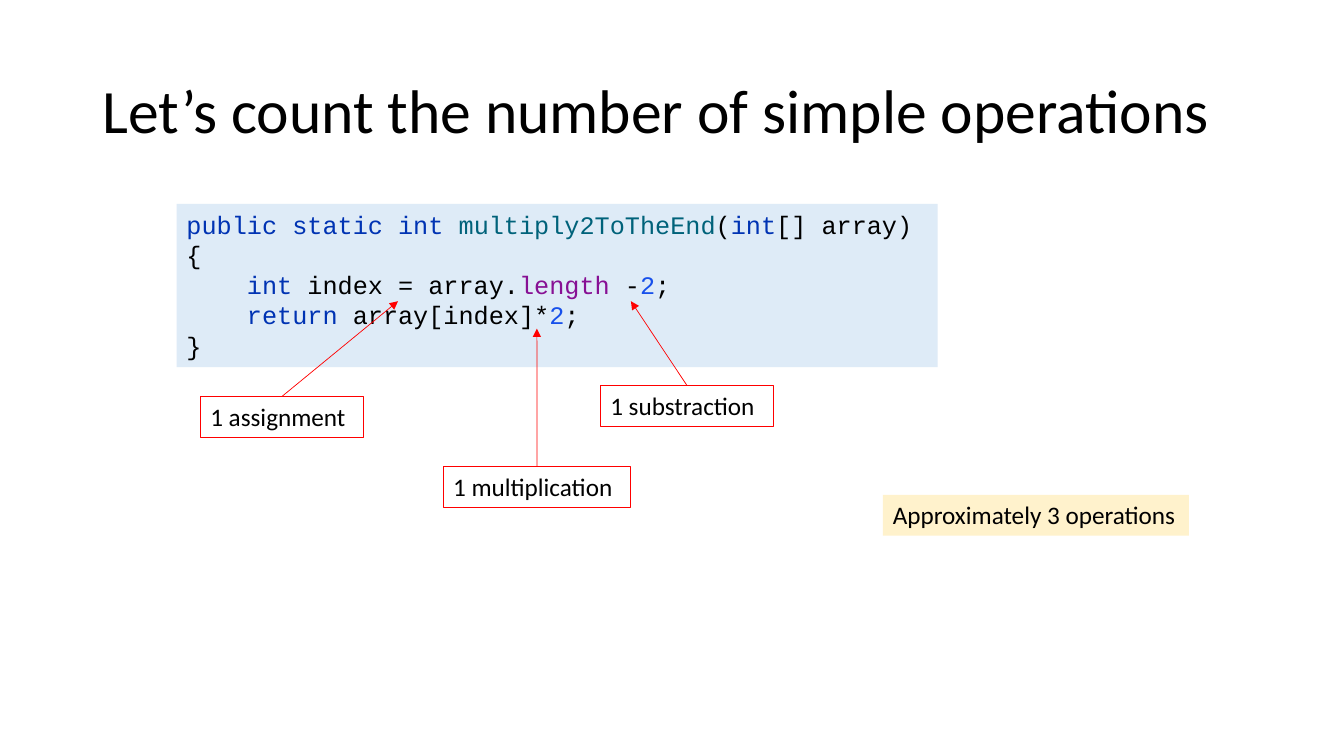
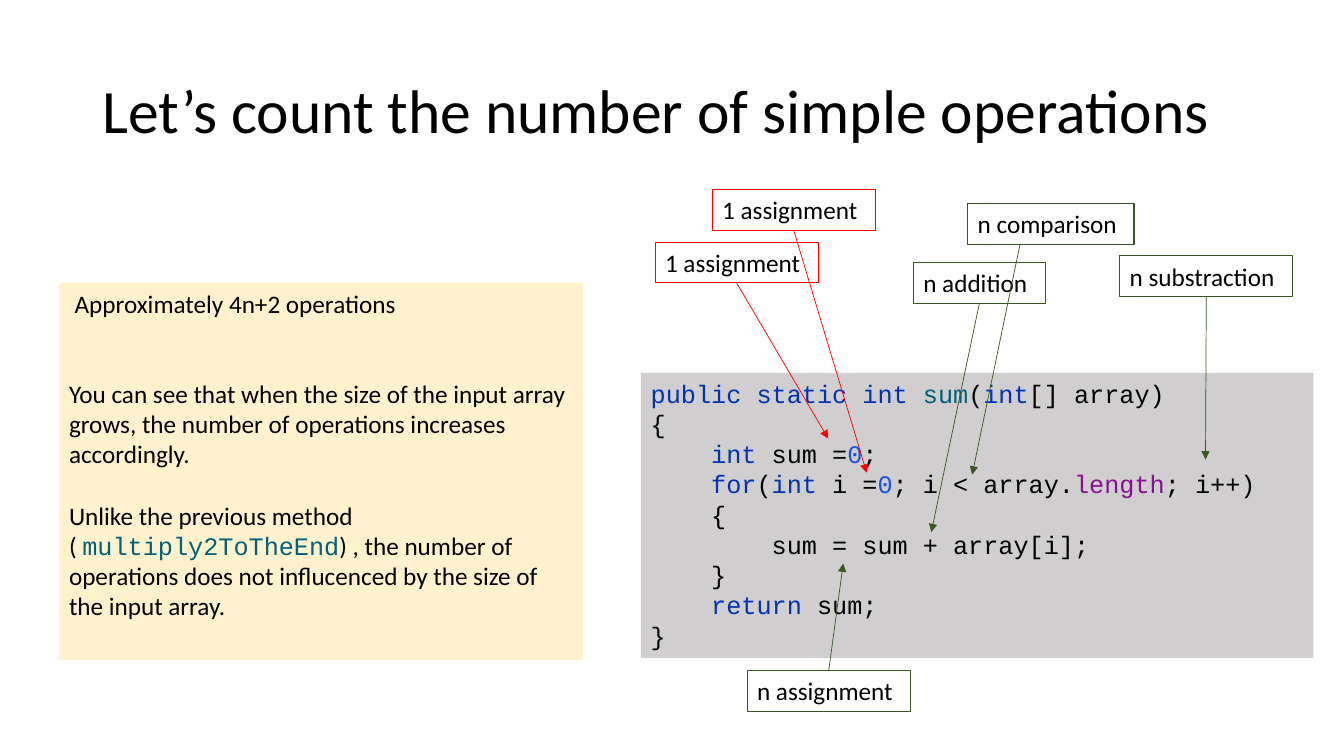
"""Build two slides that count the simple operations of short methods."""
import lxml.etree
import pptx
import pptx.dml.color
import pptx.enum.shapes
import pptx.enum.text
import pptx.oxml.ns
import pptx.util

Cm = pptx.util.Cm
Pt = pptx.util.Pt
RGBColor = pptx.dml.color.RGBColor
qn = pptx.oxml.ns.qn

BLACK = RGBColor(0x00, 0x00, 0x00)
KEYWORD = RGBColor(0x00, 0x33, 0xB3)
METHOD = RGBColor(0x00, 0x62, 0x7A)
FIELD = RGBColor(0x87, 0x10, 0x94)
NUMBER = RGBColor(0x17, 0x50, 0xEB)
RED = RGBColor(0xFF, 0x00, 0x00)
GREEN = RGBColor(0x38, 0x57, 0x23)
PALE_BLUE = RGBColor(0xDE, 0xEB, 0xF7)
PALE_YELLOW = RGBColor(0xFF, 0xF2, 0xCC)
GREY = RGBColor(0xD0, 0xCE, 0xCE)

TEXT_FONT = "Calibri"
CODE_FONT = "Courier New"
TEXT_SIZE = 18
INDENT = Pt(4 * 0.6 * TEXT_SIZE)
LABEL_HEIGHT = 1.03
TITLE = "Let’s count the number of simple operations"

MULTIPLY_CODE = [
    (0, [("public static int ", KEYWORD), ("multiply2ToTheEnd", METHOD),
         ("(", BLACK), ("int", KEYWORD), ("[] array)", BLACK)]),
    (0, [("{", BLACK)]),
    (1, [("int ", KEYWORD), ("index = array.", BLACK), ("length ", FIELD),
         ("-", BLACK), ("2", NUMBER), (";", BLACK)]),
    (1, [("return ", KEYWORD), ("array[index]*", BLACK), ("2", NUMBER), (";", BLACK)]),
    (0, [("}", BLACK)]),
]
SUM_CODE = [
    (0, [("public static int ", KEYWORD), ("sum", METHOD), ("(", BLACK),
         ("int", KEYWORD), ("[] array)", BLACK)]),
    (0, [("{", BLACK)]),
    (1, [("int ", KEYWORD), ("sum =", BLACK), ("0", NUMBER), (";", BLACK)]),
    (1, [("for", KEYWORD), ("(", BLACK), ("int ", KEYWORD), ("i =", BLACK),
         ("0", NUMBER), ("; i < array.", BLACK), ("length", FIELD), ("; i++)", BLACK)]),
    (1, [("{", BLACK)]),
    (2, [("sum = sum + array[i];", BLACK)]),
    (1, [("}", BLACK)]),
    (1, [("return ", KEYWORD), ("sum;", BLACK)]),
    (0, [("}", BLACK)]),
]


def add_run(paragraph, text, color=BLACK, font=TEXT_FONT, size=TEXT_SIZE):
    """Append one formatted run to a paragraph."""
    run = paragraph.add_run()
    run.text = text
    run.font.name = font
    run.font.size = Pt(size)
    run.font.color.rgb = color


def next_paragraph(frame, index):
    """Return the left-aligned paragraph for this index, adding it if needed."""
    paragraph = frame.add_paragraph() if index else frame.paragraphs[0]
    paragraph.alignment = pptx.enum.text.PP_ALIGN.LEFT
    return paragraph


def add_titled_slide(presentation):
    """Add a slide with the shared title."""
    slide = presentation.slides.add_slide(presentation.slide_layouts[5])
    title = slide.shapes.title
    title.left, title.top, title.width, title.height = Cm(2.33), Cm(1.01), Cm(29.21), Cm(3.68)
    title.text_frame.vertical_anchor = pptx.enum.text.MSO_ANCHOR.MIDDLE
    paragraph = next_paragraph(title.text_frame, 0)
    paragraph.line_spacing = 0.9
    add_run(paragraph, TITLE, size=44)
    return slide


def add_box(slide, left, top, width, height, fill=None, line=None):
    """Add a rectangle with top-left text and an optional fill or outline."""
    shape = slide.shapes.add_shape(
        pptx.enum.shapes.MSO_SHAPE.RECTANGLE, Cm(left), Cm(top), Cm(width), Cm(height))
    shape.shadow.inherit = False
    if fill is None:
        shape.fill.background()
    else:
        shape.fill.solid()
        shape.fill.fore_color.rgb = fill
    if line is None:
        shape.line.fill.background()
    else:
        shape.line.color.rgb = line
        shape.line.width = Pt(0.75)
    shape.text_frame.word_wrap = True
    shape.text_frame.vertical_anchor = pptx.enum.text.MSO_ANCHOR.TOP
    return shape


def add_code(slide, left, top, width, height, fill, lines):
    """Add a code panel with one paragraph per line."""
    frame = add_box(slide, left, top, width, height, fill).text_frame
    for index, (level, tokens) in enumerate(lines):
        paragraph = next_paragraph(frame, index)
        properties = paragraph._p.get_or_add_pPr()
        properties.set("marL", str(level * INDENT))
        properties.set("indent", "0")
        for text, color in tokens:
            add_run(paragraph, text, color, CODE_FONT)


def add_note(slide, left, top, width, height, paragraphs):
    """Add a yellow note from pairs of space before and runs."""
    frame = add_box(slide, left, top, width, height, PALE_YELLOW).text_frame
    for index, (space, runs) in enumerate(paragraphs):
        paragraph = next_paragraph(frame, index)
        paragraph.space_before = Pt(space)
        for run in runs:
            add_run(paragraph, *run)


def add_label(slide, text, left, top, width, color, tip, shift=0):
    """Add an outlined label and an arrow from its facing edge to the tip."""
    label = add_box(slide, left, top, width, LABEL_HEIGHT, line=color)
    add_run(next_paragraph(label.text_frame, 0), text)
    tip_x, tip_y = tip
    upward = tip_y < top
    start_x = left + width / 2 + shift
    start_y = top if upward else top + LABEL_HEIGHT
    arrow = slide.shapes.add_connector(
        pptx.enum.shapes.MSO_CONNECTOR.STRAIGHT,
        Cm(start_x), Cm(start_y), Cm(tip_x), Cm(tip_y))
    if not shift:
        arrow.begin_connect(label, 0 if upward else 2)
    arrow.line.color.rgb = color
    arrow.line.width = Pt(0.5)
    lxml.etree.SubElement(arrow.line._get_or_add_ln(), qn("a:tailEnd"), type="triangle")
    lxml.etree.SubElement(arrow._element.spPr, qn("a:effectLst"))


def build_constant_slide(presentation):
    """Build the slide with a constant number of operations."""
    slide = add_titled_slide(presentation)
    add_code(slide, 4.45, 5.14, 19.18, 4.11, PALE_BLUE, MULTIPLY_CODE)
    for label in (
        ("1 assignment", 5.05, 9.99, 4.11, RED, (10.03, 7.59)),
        ("1 substraction", 15.13, 9.71, 4.36, RED, (15.9, 7.59)),
        ("1 multiplication", 11.17, 11.76, 4.73, RED, (13.53, 8.28)),
    ):
        add_label(slide, *label)
    add_note(slide, 22.25, 12.47, 7.71, LABEL_HEIGHT,
             [(0, [("Approximately 3 operations",)])])


def build_linear_slide(presentation):
    """Build the slide whose operations grow with the array."""
    slide = add_titled_slide(presentation)
    add_note(slide, 1.49, 7.13, 13.2, 9.5, [
        (0, [(" Approximately 4n+2 operations",)]),
        (43, [("You can see that when the size of the input array grows, "
               "the number of operations increases accordingly.",)]),
        (22, [("Unlike the previous method ( ",),
              ("multiply2ToTheEnd", METHOD, CODE_FONT),
              (") , the number of operations does not influcenced "
               "by the size of the input array.",)]),
    ])
    add_code(slide, 16.15, 9.4, 16.95, 7.18, GREY, SUM_CODE)
    for label in (
        ("1 assignment", 16.51, 6.1, 4.11, RED, (20.87, 11.05)),
        ("1 assignment", 17.95, 4.78, 4.11, RED, (21.84, 11.91)),
        ("n substraction", 28.22, 6.45, 4.36, GREEN, (30.38, 11.58)),
        ("n addition", 23.02, 6.62, 3.32, GREEN, (23.47, 13.41)),
        ("n comparison", 24.39, 5.13, 4.19, GREEN, (24.5, 11.96), -0.78),
        ("n assignment", 18.83, 16.9, 4.11, GREEN, (21.25, 14.2)),
    ):
        add_label(slide, *label)


def main():
    """Create and save the presentation."""
    presentation = pptx.Presentation()
    presentation.slide_width = Cm(33.87)
    presentation.slide_height = Cm(19.05)
    build_constant_slide(presentation)
    build_linear_slide(presentation)
    presentation.save("out.pptx")


if __name__ == "__main__":
    main()
